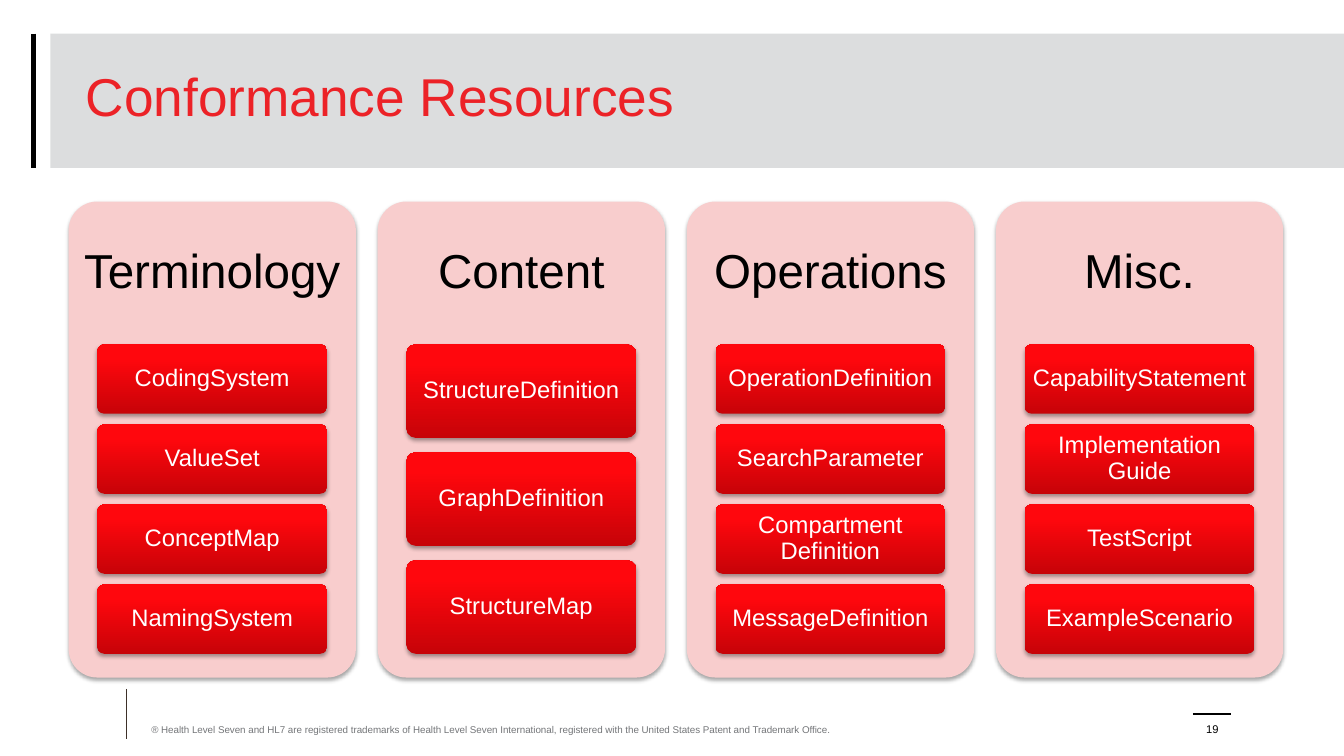
from copy import deepcopy

from lxml.etree import SubElement
from pptx import Presentation
from pptx.dml.color import RGBColor
from pptx.enum.shapes import MSO_CONNECTOR, MSO_SHAPE
from pptx.enum.text import MSO_ANCHOR, MSO_AUTO_SIZE, PP_ALIGN
from pptx.oxml.ns import qn
from pptx.util import Pt

COLUMNS = {
    "Terminology": ["CodingSystem", "ValueSet", "ConceptMap", "NamingSystem"],
    "Content": ["StructureDefinition", "GraphDefinition", "StructureMap"],
    "Operations": ["OperationDefinition", "SearchParameter",
                   "Compartment Definition", "MessageDefinition"],
    "Misc.": ["CapabilityStatement", "Implementation Guide",
              "TestScript", "ExampleScenario"],
}
TRADEMARK = ("® Health Level Seven and HL7 are registered trademarks of Health Level Seven "
             "International, registered with the United States Patent and Trademark Office.")
CARD_GRADIENT = [(0, "C70308"), (0.8, "FF070D"), (1, "FF080E")]


def color(hex_value):
    return RGBColor.from_string(hex_value)


def points(*values):
    return [Pt(round(value, 2)) for value in values]


def write(shape, text, size, hex_value, align=PP_ALIGN.CENTER, spacing=1.0,
          anchor=MSO_ANCHOR.MIDDLE, insets=(7.2, 3.6)):
    """Fill a shape with one paragraph; insets are (sides, top and bottom)."""
    frame = shape.text_frame
    side, end = points(*insets)
    frame_format = {
        "word_wrap": True, "auto_size": MSO_AUTO_SIZE.NONE, "vertical_anchor": anchor,
        "margin_left": side, "margin_right": side, "margin_top": end, "margin_bottom": end,
    }
    for name, value in frame_format.items():
        setattr(frame, name, value)
    paragraph = frame.paragraphs[0]
    paragraph.text = text
    paragraph.alignment = align
    paragraph.line_spacing = spacing
    for name, value in {"name": "Arial", "size": Pt(size), "bold": False}.items():
        setattr(paragraph.font, name, value)
    paragraph.font.color.rgb = color(hex_value)


def add_rule(slide, x1, y1, x2, y2, hex_value, width):
    rule = slide.shapes.add_connector(MSO_CONNECTOR.STRAIGHT, *points(x1, y1, x2, y2))
    rule.line.color.rgb = color(hex_value)
    rule.line.width = Pt(width)
    SubElement(rule._element.spPr, qn("a:effectLst"))


def add_rounded_box(shapes, x, y, width, height):
    """Add a borderless rounded rectangle with a soft shadow below it."""
    box = shapes.add_shape(MSO_SHAPE.ROUNDED_RECTANGLE, *points(x, y, width, height))
    box.adjustments[0] = 0.1
    box.line.fill.background()
    box.shadow.inherit = False
    effects = box._element.spPr.find(qn("a:effectLst"))
    shadow = SubElement(effects, qn("a:outerShdw"), blurRad=str(Pt(3.1)),
                        dist=str(Pt(1.8)), dir="5400000", rotWithShape="0")
    black = SubElement(shadow, qn("a:srgbClr"), val="000000")
    SubElement(black, qn("a:alpha"), val="35000")
    return box


def fill_card(card):
    fill = card.fill
    fill.gradient()
    fill.gradient_angle = 90
    stop_list = card._element.spPr.find(".//" + qn("a:gsLst"))
    stop_list.append(deepcopy(stop_list[-1]))
    for stop, (position, hex_value) in zip(fill.gradient_stops, CARD_GRADIENT):
        stop.position = position
        stop.color.rgb = color(hex_value)


def add_column(shapes, heading, resources, x, y, width, height):
    panel = add_rounded_box(shapes, x, y, width, height)
    panel.fill.solid()
    panel.fill.fore_color.rgb = color("F8CDCD")

    heading_box = shapes.add_textbox(*points(x, y, width, 0.3 * height))
    write(heading_box, heading, 34, "000000", spacing=0.9, insets=(10, 10))

    count = len(resources)
    gap_ratio = 2 / 13
    card_height = 0.65 * height / (count + (count - 1) * gap_ratio)
    for row, resource in enumerate(resources):
        card_top = y + 0.3 * height + row * card_height * (1 + gap_ratio)
        card = add_rounded_box(shapes, x + 0.1 * width, card_top, 0.8 * width, card_height)
        fill_card(card)
        write(card, resource, 17, "FFFFFF", spacing=0.9, insets=(3, 3))


def add_columns(slide, x, y, width, height):
    """Spread the resource columns evenly across the box."""
    group = slide.shapes.add_group_shape()
    column_width = 205.2
    pitch = (width - column_width) / (len(COLUMNS) - 1)
    for index, (heading, resources) in enumerate(COLUMNS.items()):
        add_column(group.shapes, heading, resources,
                   x + index * pitch, y, column_width, height)


def add_header(slide, x, y, width, height):
    band = slide.shapes.add_shape(MSO_SHAPE.RECTANGLE, *points(x, y, width, height))
    band.shadow.inherit = False
    band.line.fill.background()
    band.fill.solid()
    band.fill.fore_color.rgb = color("BABCBE")
    SubElement(band._element.spPr.find(".//" + qn("a:srgbClr")), qn("a:alpha"), val="50000")
    add_rule(slide, x - 12, y, x - 12, y + height, "000000", 3.25)

    title = slide.shapes.title
    title.left, title.top, title.width, title.height = points(x + 18, y, width - 68, height)
    write(title, "Conformance Resources", 38, "EC2227", PP_ALIGN.LEFT, 0.8)
    slide.shapes._spTree.append(title._element)  # in front of the band


def add_footer(slide, x, y, width, height):
    add_rule(slide, x, y, x, y + height, "3D3029", 0.5)
    trademark = slide.shapes.add_textbox(*points(x + 11, y + 18, 511, 18.7))
    write(trademark, TRADEMARK, 7, "747679", PP_ALIGN.LEFT, anchor=MSO_ANCHOR.BOTTOM)

    number_width = 40
    number_left = x + width - number_width
    add_rule(slide, number_left + 6, y + 18, number_left + 33, y + 18, "000000", 2)
    number = slide.shapes.add_textbox(*points(number_left, y + 18, number_width, 19.4))
    write(number, "19", 8, "000000", anchor=MSO_ANCHOR.BOTTOM)


def main():
    presentation = Presentation()
    presentation.slide_width, presentation.slide_height = Pt(960), Pt(540)
    slide = presentation.slides.add_slide(presentation.slide_layouts[5])
    add_header(slide, 36, 24, 924, 96)
    add_columns(slide, 49, 144, 867.6, 340)
    add_footer(slide, 90, 492, 796, 36)
    presentation.save("out.pptx")


if __name__ == "__main__":
    main()
